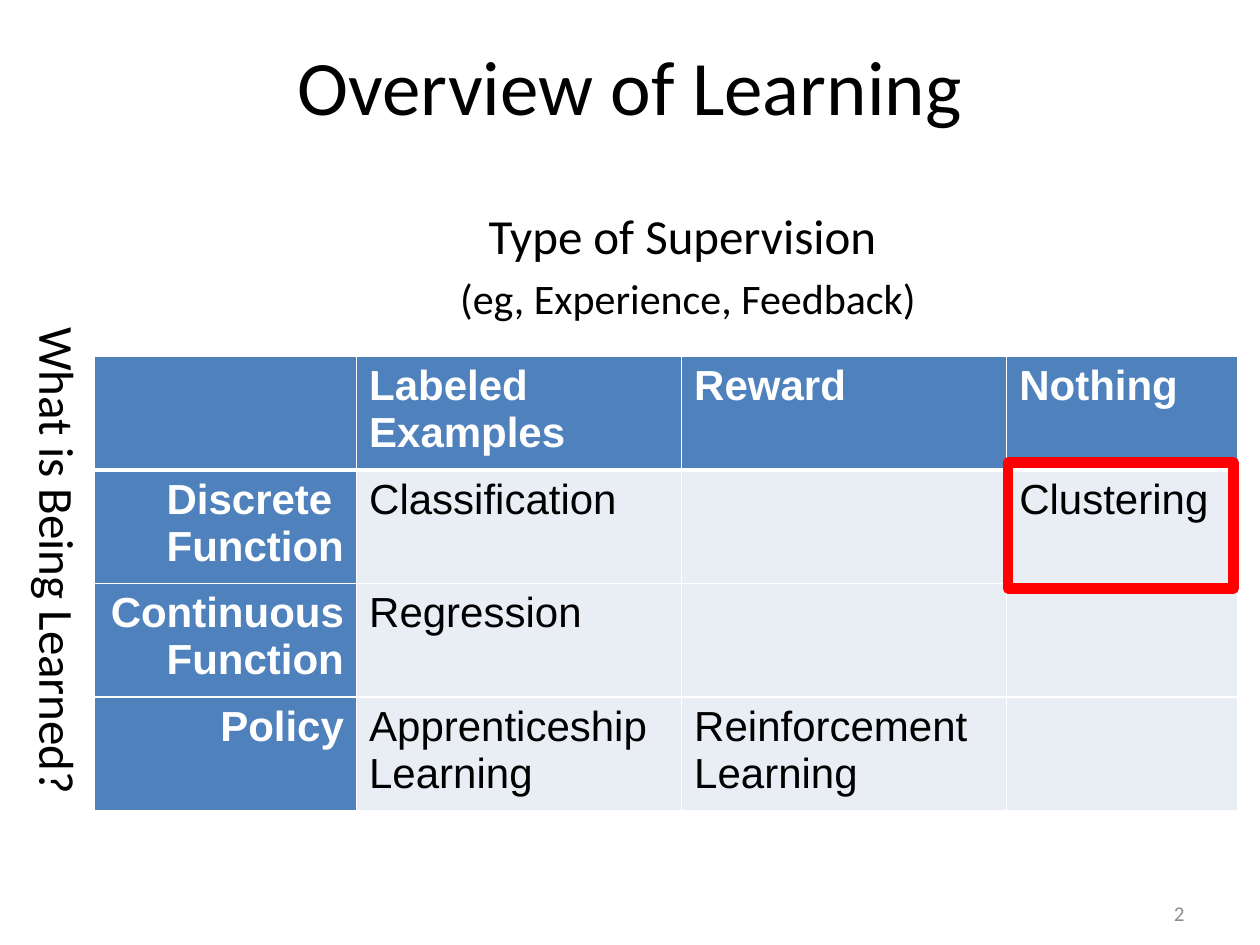
from dataclasses import dataclass

from lxml.etree import SubElement
from pptx import Presentation
from pptx.dml.color import RGBColor
from pptx.enum.shapes import MSO_SHAPE
from pptx.enum.text import MSO_ANCHOR, PP_ALIGN
from pptx.oxml.ns import qn
from pptx.util import Inches, Pt


@dataclass(frozen=True)
class Theme:
    """Fonts, type sizes and colours of the slide."""
    font: str = "Calibri"
    grid_font: str = "Arial"
    title: int = 44
    axis: int = 28
    body: int = 24
    small: int = 12
    black: str = "000000"
    white: str = "FFFFFF"
    gray: str = "8C8C8C"
    blue: str = "4F81BD"
    pale: str = "E9EDF4"
    red: str = "FF0000"


THEME = Theme()
WIDTHS = (2.08, 2.58, 2.58, 1.83)
ROW_HEIGHT = 0.84
ROWS = (
    ("", "Labeled\nExamples", "Reward", "Nothing"),
    ("Discrete \nFunction", "Classification", "", "Clustering"),
    ("Continuous Function", "Regression", "", ""),
    ("Policy", "Apprenticeship Learning", "Reinforcement\nLearning", ""),
)


def write(frame, text, sizes=(THEME.body,), font=THEME.font, color=THEME.black,
          bold=False, align=PP_ALIGN.LEFT, gap=0):
    """Write one paragraph per line, with space before as a share of its size."""
    lines = text.split("\n")
    for i, line in enumerate(lines):
        para = frame.paragraphs[0] if i == 0 else frame.add_paragraph()
        size = sizes[min(i, len(sizes) - 1)]
        para.alignment = align
        para.space_before = Pt(size * gap)
        run = para.add_run()
        run.text = line
        run.font.name = font
        run.font.size = Pt(size)
        run.font.bold = bold
        run.font.color.rgb = RGBColor.from_string(color)


def add_text(slide, box, text, turn=0, anchor=MSO_ANCHOR.TOP, **style):
    """Add a wrapped text box, turned by the given degrees."""
    shape = slide.shapes.add_textbox(*map(Inches, box))
    shape.rotation = turn
    shape.text_frame.word_wrap = True
    shape.text_frame.vertical_anchor = anchor
    write(shape.text_frame, text, **style)


def set_edges(cell, top, bottom):
    """Give a cell white borders, with top and bottom widths in points."""
    props = cell._tc.get_or_add_tcPr()
    for side, width in zip("LRTB", (1, 1, top, bottom)):
        edge = SubElement(props, qn(f"a:ln{side}"), w=str(Pt(width)))
        fill = SubElement(edge, qn("a:solidFill"))
        SubElement(fill, qn("a:srgbClr"), val=THEME.white)


def add_grid(slide, left, top):
    """Add the table of learning kinds by supervision and target."""
    frame = slide.shapes.add_table(
        len(ROWS), len(WIDTHS), Inches(left), Inches(top),
        Inches(sum(WIDTHS)), Inches(ROW_HEIGHT * len(ROWS)))
    table = frame.table
    table.first_col = True
    for column, width in zip(table.columns, WIDTHS):
        column.width = Inches(width)
    for r, row in enumerate(ROWS):
        table.rows[r].height = Inches(ROW_HEIGHT)
        for c, text in enumerate(row):
            cell = table.cell(r, c)
            head = r == 0 or c == 0
            set_edges(cell, 3 if r == 1 else 1, 3 if r == 0 else 1)
            cell.fill.solid()
            cell.fill.fore_color.rgb = RGBColor.from_string(
                THEME.blue if head else THEME.pale)
            if text:
                write(cell.text_frame, text, font=THEME.grid_font, bold=head,
                      color=THEME.white if head else THEME.black,
                      align=PP_ALIGN.LEFT if c else PP_ALIGN.RIGHT)


def add_frame(slide, box):
    """Add a hollow red frame."""
    shape = slide.shapes.add_shape(MSO_SHAPE.RECTANGLE, *map(Inches, box))
    shape.shadow.inherit = False
    shape.fill.background()
    shape.line.color.rgb = RGBColor.from_string(THEME.red)
    shape.line.width = Pt(6)


def main():
    """Build and save the slide."""
    deck = Presentation()
    deck.slide_width, deck.slide_height = Inches(10), Inches(7.5)
    slide = deck.slides.add_slide(deck.slide_layouts[6])
    add_text(slide, (7.17, 7, 2.33, 0.5), "2", anchor=MSO_ANCHOR.MIDDLE,
             sizes=(THEME.small,), color=THEME.gray, align=PP_ALIGN.RIGHT)
    add_text(slide, (0.5, -0.08, 9, 1.5), "Overview of Learning",
             anchor=MSO_ANCHOR.MIDDLE, sizes=(THEME.title,),
             align=PP_ALIGN.CENTER)
    add_text(slide, (-2, 4.17, 4.42, 1.08), "What is Being Learned?", turn=90,
             sizes=(THEME.axis,), gap=0.2)
    add_text(slide, (3.25, 1.58, 4.42, 1.08),
             "Type of Supervision \n(eg, Experience, Feedback)",
             sizes=(THEME.axis, THEME.body), align=PP_ALIGN.CENTER, gap=0.2)
    add_grid(slide, 0.75, 2.83)
    add_frame(slide, (8, 3.67, 1.79, 1))
    deck.save("out.pptx")


if __name__ == "__main__":
    main()
